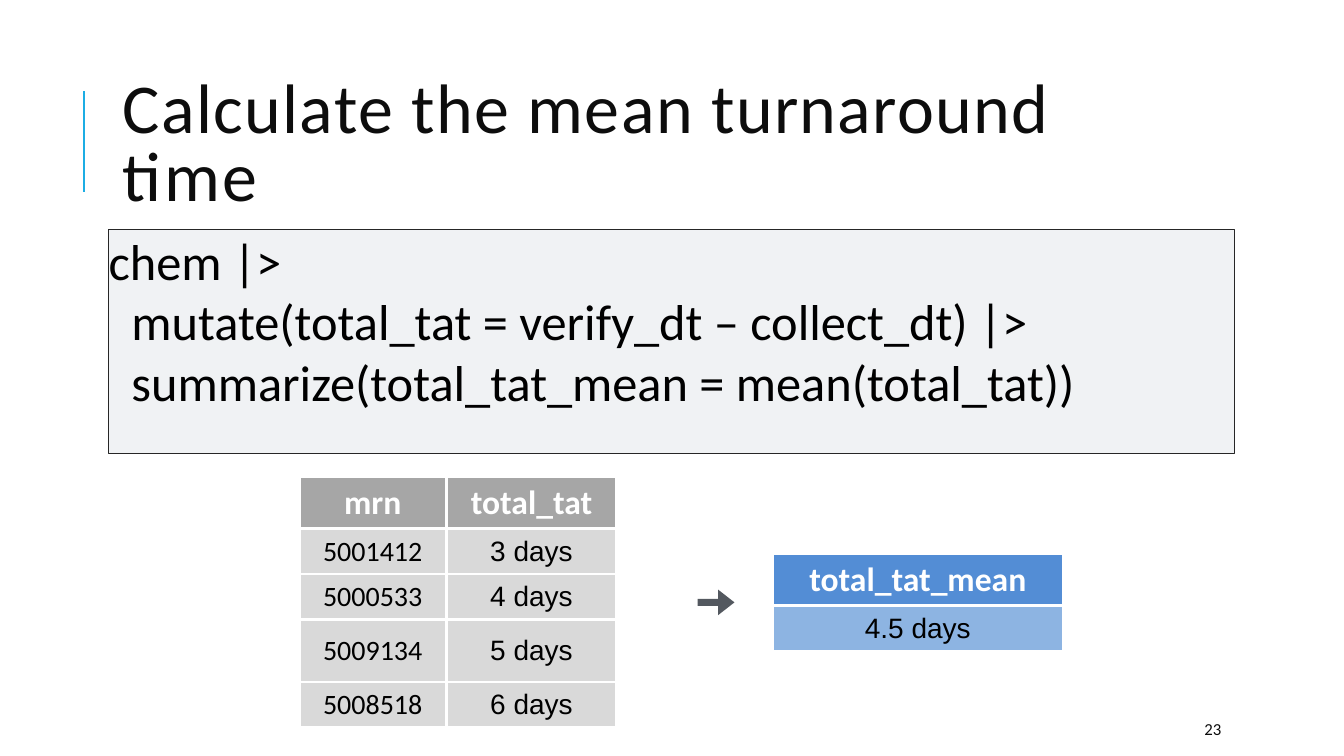
import pptx
import pptx.util
import pptx.dml.color
import pptx.enum.shapes
import pptx.enum.text
import pptx.oxml
import pptx.oxml.ns

Cm, Pt = pptx.util.Cm, pptx.util.Pt
SHAPE = pptx.enum.shapes.MSO_SHAPE
ANCHOR = pptx.enum.text.MSO_ANCHOR
ALIGN = pptx.enum.text.PP_ALIGN
NS = pptx.oxml.ns.nsdecls("a")

COLORS = {
    "accent": "1CADE4", "title": "0D0D0D", "ink": "000000", "white": "FFFFFF",
    "code": "F0F2F4", "edge": "262626", "arrow": "53585F",
    "gray": "A6A6A6", "pale": "D9D9D9", "blue": "538DD5", "sky": "8DB4E2",
}


def color(name):
    return pptx.dml.color.RGBColor.from_string(COLORS[name])


class Page:
    def __init__(self, slide, face="Calibri"):
        self.slide = slide
        self.shapes = slide.shapes
        self.face = face

    def style(self, para, size, tone, bold=False, face=None):
        font = para.font
        font.name = face or self.face
        font.size = Pt(size)
        font.bold = bold
        font.color.rgb = color(tone)

    def text(self, box, words, size, tone="title", spacing=None, track=0):
        item = self.shapes.add_textbox(*map(Cm, box))
        frame = item.text_frame
        frame.word_wrap = True
        frame.vertical_anchor = ANCHOR.MIDDLE
        para = frame.paragraphs[0]
        para.text = words
        para.line_spacing = spacing
        self.style(para, size, tone)
        if track:
            para.runs[0].font._element.set("spc", str(track * 100))

    def line(self, x1, y1, x2, y2, tone, width):
        line = self.shapes.add_connector(
            pptx.enum.shapes.MSO_CONNECTOR.STRAIGHT, *map(Cm, (x1, y1, x2, y2)))
        line.line.color.rgb = color(tone)
        line.line.width = Pt(width)
        line._element.spPr.append(pptx.oxml.parse_xml(f"<a:effectLst {NS}/>"))

    def shape(self, kind, box, fill, edge=None):
        item = self.shapes.add_shape(kind, *map(Cm, box))
        item.shadow.inherit = False
        item.fill.solid()
        item.fill.fore_color.rgb = color(fill)
        if edge:
            item.line.color.rgb = color(edge)
            item.line.width = Pt(0.75)
        else:
            item.line.fill.background()
        return item

    def code(self, box, lines, size):
        frame = self.shape(SHAPE.RECTANGLE, box, "code", "edge").text_frame
        frame.word_wrap = True
        frame.vertical_anchor = ANCHOR.TOP
        frame.margin_left = frame.margin_right = 0
        frame.margin_top = frame.margin_bottom = 0
        frame.text = "\n".join(lines)
        for para in frame.paragraphs:
            para.alignment = ALIGN.LEFT
            self.style(para, size, "ink")

    def arrow(self, box, shaft, head):
        item = self.shape(SHAPE.RIGHT_ARROW, box, "arrow")
        item.adjustments[0] = shaft
        item.adjustments[1] = head

    def cell(self, cell, words, fill):
        cell.margin_left = cell.margin_right = Cm(0.13)
        cell.margin_top = cell.margin_bottom = Cm(0.15)
        cell.vertical_anchor = ANCHOR.MIDDLE
        props = cell._tc.get_or_add_tcPr()
        for side in "LRTB":
            props.append(pptx.oxml.parse_xml(
                f'<a:ln{side} {NS} w="{Pt(2.25)}"><a:solidFill>'
                f'<a:srgbClr val="{COLORS["white"]}"/></a:solidFill></a:ln{side}>'))
        cell.fill.solid()
        cell.fill.fore_color.rgb = color(fill)
        para = cell.text_frame.paragraphs[0]
        para.text = words
        para.alignment = ALIGN.CENTER
        return para

    def table(self, left, top, widths, heights, rows, head, body):
        frame = self.shapes.add_table(
            len(rows), len(widths), Cm(left), Cm(top),
            Cm(sum(widths)), Cm(sum(heights)))
        table = frame.table
        for col, width in zip(table.columns, widths):
            col.width = Cm(width)
        for row, height in zip(table.rows, heights):
            row.height = Cm(height)
        for r, row in enumerate(rows):
            for c, words in enumerate(row):
                para = self.cell(table.cell(r, c), words, body if r else head)
                if r:
                    face = "Arial" if words.endswith("days") else None
                    self.style(para, 20, "ink", face=face)
                else:
                    self.style(para, 24, "white", bold=True)


def main():
    deck = pptx.Presentation()
    deck.slide_width, deck.slide_height = Cm(33.87), Cm(19.05)
    page = Page(deck.slides.add_slide(deck.slide_layouts[6]))

    # Title and page number
    page.line(2.11, 4.83, 2.11, 2.29, "accent", 1.5)
    page.text((2.84, 1.63, 27, 4.17), "Calculate the mean turnaround time",
              50, spacing=0.8, track=1)
    page.text((30.1, 17.98, 2.69, 0.76), "23", 12)

    # Code
    page.code((2.74, 5.79, 28.37, 5.64), [
        "chem |>",
        "  mutate(total_tat = verify_dt – collect_dt) |>",
        "  summarize(total_tat_mean = mean(total_tat))",
    ], 36)

    # Data, arrow and result
    page.table(7.54, 12, (3.71, 4.29), (1.04, 1.04, 1.04, 1.57, 1.04), [
        ("mrn", "total_tat"),
        ("5001412", "3 days"),
        ("5000533", "4 days"),
        ("5009134", "5 days"),
        ("5008518", "6 days"),
    ], "gray", "pale")
    page.arrow((17.58, 14.86, 0.93, 0.64), 0.28, 0.64)
    page.table(19.46, 13.94, (7.34,), (1.04, 1.04),
               [("total_tat_mean",), ("4.5 days",)], "blue", "sky")

    deck.save("out.pptx")


if __name__ == "__main__":
    main()
